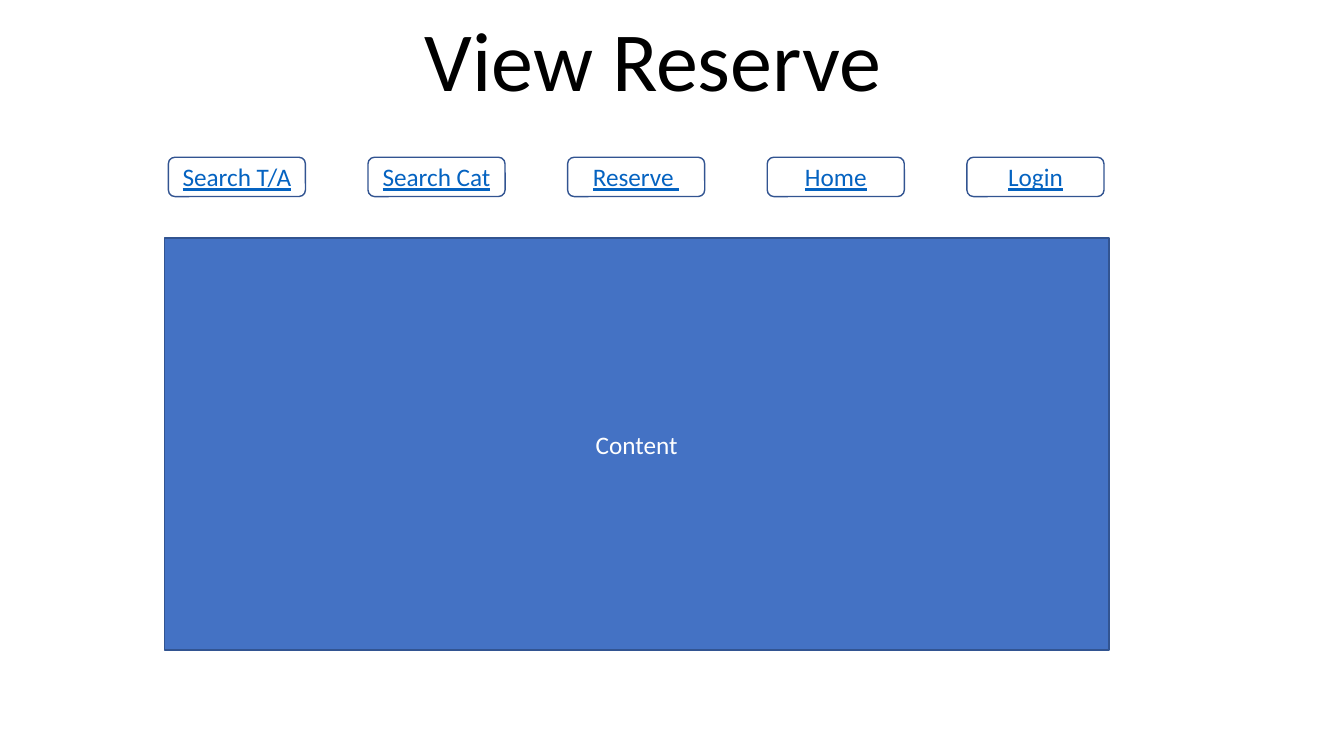
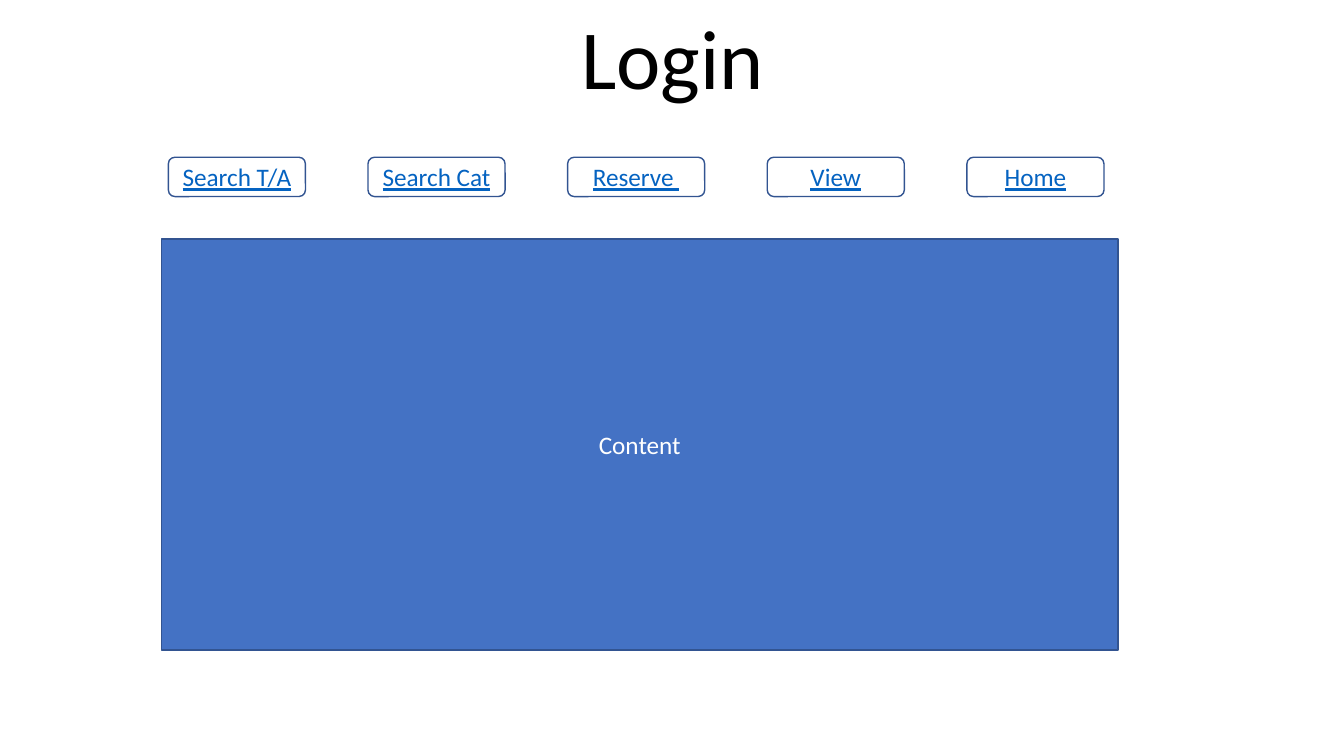
from dataclasses import dataclass

from pptx import Presentation
from pptx.dml.color import RGBColor
from pptx.enum.shapes import MSO_SHAPE as Preset
from pptx.enum.text import MSO_ANCHOR as Anchor, PP_ALIGN as Align
from pptx.util import Inches, Pt


@dataclass(frozen=True)
class Theme:
    font: str = "Calibri"
    title_size: int = 60
    body_size: int = 18
    black: str = "000000"
    white: str = "FFFFFF"
    panel: str = "4472C4"
    outline: str = "325491"
    link: str = "0563C1"


THEME = Theme()
NAV_LEFT, NAV_TOP, NAV_STEP = 1.67, 1.56, 1.98
BUTTON_WIDTH, BUTTON_HEIGHT = 1.36, 0.39

PAGES = [
    {
        "title": "View Reserve",
        "title_box": (1.48, 0.08, 10, 1.06),
        "content_box": (1.63, 2.36, 9.37, 4.09),
        "links": ["Search T/A", "Search Cat", "Reserve ", "Home", "Login"],
    },
    {
        "title": "Login",
        "title_box": (1.67, 0.1, 10, 1.02),
        "content_box": (1.6, 2.37, 9.49, 4.08),
        "links": ["Search T/A", "Search Cat", "Reserve ", "View", "Home"],
    },
]


def rgb(color):
    return RGBColor.from_string(color)


def write_text(shape, text, size, color, anchor=Anchor.MIDDLE):
    frame = shape.text_frame
    frame.word_wrap = True
    frame.vertical_anchor = anchor
    paragraph = frame.paragraphs[0]
    paragraph.text = text
    paragraph.alignment = Align.CENTER
    font = paragraph.font
    font.name = THEME.font
    font.size = Pt(size)
    font.color.rgb = rgb(color)
    return paragraph


def add_title(slide, text, box):
    title = slide.shapes.add_textbox(*map(Inches, box))
    heading = write_text(title, text, THEME.title_size, THEME.black, Anchor.BOTTOM)
    heading.line_spacing = 0.9


def add_box(slide, preset, box, fill, text, color):
    shape = slide.shapes.add_shape(preset, *map(Inches, box))
    shape.shadow.inherit = False
    shape.fill.solid()
    shape.fill.fore_color.rgb = rgb(fill)
    shape.line.color.rgb = rgb(THEME.outline)
    shape.line.width = Pt(1)
    return write_text(shape, text, THEME.body_size, color)


def add_navigation(slide, links):
    for index, link in enumerate(links):
        box = (NAV_LEFT + index * NAV_STEP, NAV_TOP, BUTTON_WIDTH, BUTTON_HEIGHT)
        label = add_box(slide, Preset.ROUNDED_RECTANGLE, box, THEME.white, link, THEME.link)
        label.font.underline = True


def add_page(deck, page):
    slide = deck.slides.add_slide(deck.slide_layouts[6])
    add_title(slide, page["title"], page["title_box"])
    add_box(slide, Preset.FLOWCHART_PROCESS, page["content_box"],
            THEME.panel, "Content", THEME.white)
    add_navigation(slide, page["links"])


def main():
    deck = Presentation()
    deck.slide_width, deck.slide_height = Inches(13.33), Inches(7.5)
    for page in PAGES:
        add_page(deck, page)
    deck.save("out.pptx")


main()
